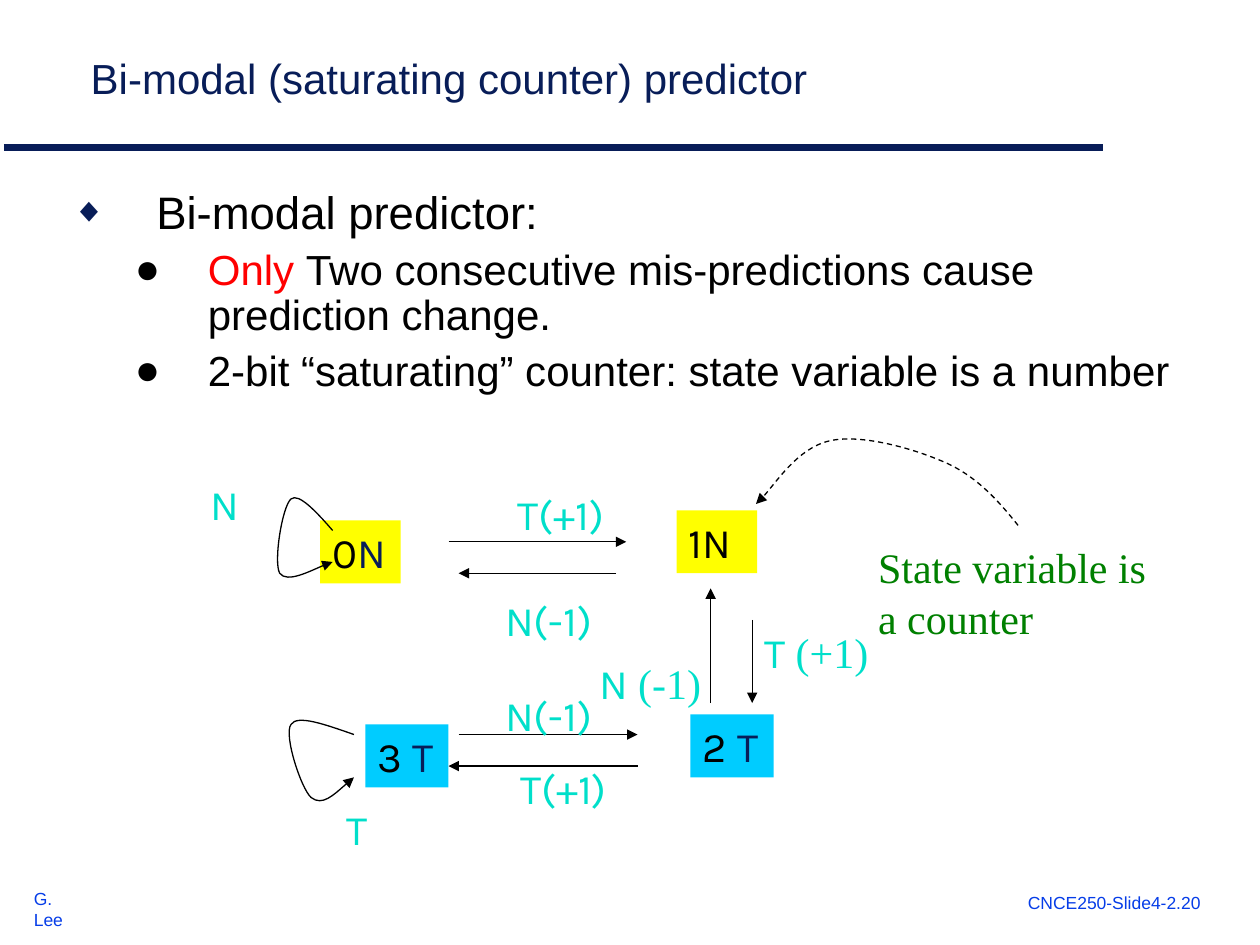
from pptx import Presentation
from pptx.dml.color import RGBColor
from pptx.enum.dml import MSO_LINE_DASH_STYLE as Dash
from pptx.enum.shapes import MSO_CONNECTOR as Conn, MSO_SHAPE as Shape
from pptx.enum.text import MSO_ANCHOR as Anchor, MSO_AUTO_SIZE as AutoSize, PP_ALIGN as Align
from pptx.oxml.ns import qn
from pptx.util import Inches, Pt
from lxml.etree import SubElement

NAVY, BLACK, RED, GREEN = "081D58", "000000", "FF0000", "008000"
TEAL, BLUE, YELLOW, CYAN = "00DFCA", "063DE8", "FFFF00", "00CCFF"
SANS, LABEL, SERIF = "Arial", "Karla", "Times New Roman"


def rgb(value):
    return RGBColor.from_string(value)


class Deck:
    """Slide builder holding the style and the current slide."""

    def __init__(self):
        self.prs = Presentation()
        self.prs.slide_width, self.prs.slide_height = Inches(10), Inches(7.5)
        self.s = self.prs.slides.add_slide(self.prs.slide_layouts[1])

    def place(self, sp, box):
        sp.left, sp.top, sp.width, sp.height = map(Inches, box)

    def add_runs(self, p, runs, size=24):
        for text, color, font in runs:
            r = p.add_run()
            r.text = text
            r.font.size, r.font.name = Pt(size), font
            r.font.color.rgb = rgb(color)

    def title(self, box, text):
        sp = self.s.shapes.title
        self.place(sp, box)
        tf = sp.text_frame
        tf.vertical_anchor, tf.auto_size = Anchor.BOTTOM, AutoSize.NONE
        tf.paragraphs[0].alignment = Align.LEFT
        self.add_runs(tf.paragraphs[0], [(text, NAVY, SANS)])

    def bullet(self, p, char, color, percent, margin, indent):
        pPr = p._p.get_or_add_pPr()
        pPr.set("marL", str(Inches(margin)))
        pPr.set("indent", str(Inches(-indent)))
        clr = SubElement(pPr, qn("a:buClr"))
        SubElement(clr, qn("a:srgbClr"), val=color)
        SubElement(pPr, qn("a:buSzPct"), val=str(percent * 1000))
        SubElement(pPr, qn("a:buFont"), typeface=SANS)
        SubElement(pPr, qn("a:buChar"), char=char)

    def body(self, box, heading, points):
        sp = self.s.placeholders[1]
        self.place(sp, box)
        tf = sp.text_frame
        tf.auto_size = AutoSize.NONE
        p = tf.paragraphs[0]
        self.bullet(p, "◆", NAVY, 75, 0.67, 0.67)
        p.space_before = Pt(0)
        self.add_runs(p, [(heading, BLACK, SANS)], 26)
        for runs in points:
            p = tf.add_paragraph()
            p.level = 1
            self.bullet(p, "●", BLACK, 100, 1.08, 0.58)
            p.space_before, p.line_spacing = Pt(6), 0.9
            self.add_runs(p, runs)

    def text(self, box, *lines, size=24):
        tf = self.s.shapes.add_textbox(*map(Inches, box)).text_frame
        tf.word_wrap = False
        for i, runs in enumerate(lines):
            p = tf.add_paragraph() if i else tf.paragraphs[0]
            self.add_runs(p, runs, size)

    def state(self, x, y, w, fill, runs):
        sp = self.s.shapes.add_shape(Shape.RECTANGLE, *map(Inches, (x, y, w, 0.5)))
        sp.shadow.inherit = False
        sp.fill.solid()
        sp.fill.fore_color.rgb = rgb(fill)
        sp.line.fill.background()
        tf = sp.text_frame
        tf.word_wrap, tf.vertical_anchor = False, Anchor.TOP
        tf.paragraphs[0].alignment = Align.LEFT
        self.add_runs(tf.paragraphs[0], runs)

    def stroke(self, sp, color=BLACK, width=0.75, arrow=True):
        sp.line.color.rgb, sp.line.width = rgb(color), Pt(width)
        if arrow:
            ln = sp._element.spPr.find(qn("a:ln"))
            SubElement(ln, qn("a:tailEnd"), type="triangle")

    def line(self, start, end, **style):
        cx = self.s.shapes.add_connector(Conn.STRAIGHT, *map(Inches, start + end))
        self.stroke(cx, **style)
        SubElement(cx._element.spPr, qn("a:effectLst"))

    def curve(self, points, dash=None):
        start, *rest = [(Inches(x), Inches(y)) for x, y in points]
        fb = self.s.shapes.build_freeform(*start)
        fb.add_line_segments(rest, close=False)
        sp = fb.convert_to_shape()
        segments = list(sp._element.iter(qn("a:lnTo")))
        outline = segments[0].getparent()
        for i in range(0, len(segments), 3):
            bezier = SubElement(outline, qn("a:cubicBezTo"))
            for seg in segments[i:i + 3]:
                bezier.append(seg[0])
                outline.remove(seg)
        sp.fill.background()
        sp.shadow.inherit = False
        if dash:
            sp.line.dash_style = dash
        self.stroke(sp)


def main():
    d = Deck()
    d.line((0.03, 1.17), (8.75, 1.17), color=NAVY, width=4, arrow=False)
    d.text((0.17, 7, 0.61, 0.26), [("G. Lee", BLUE, SANS)], size=10)
    d.text((8.06, 7.03, 2.04, 0.26), [("CNCE250-Slide4-2.20", BLUE, SANS)], size=10)
    d.title((0.62, 0.31, 7.72, 0.56), "Bi-modal (saturating counter) predictor")
    d.body((0.47, 1.41, 9.13, 4.5), "Bi-modal predictor:", [
        [("Only ", RED, SANS),
         ("Two consecutive mis-predictions cause prediction change.", BLACK, SANS)],
        [("2-bit “saturating” counter: state variable is a number", BLACK, SANS)],
    ])

    d.state(2.54, 4.13, 0.64, YELLOW, [("0", BLACK, LABEL), ("N", NAVY, LABEL)])
    d.state(5.37, 4.05, 0.64, YELLOW, [("1N", BLACK, LABEL)])
    d.state(5.48, 5.67, 0.66, CYAN, [("2 ", BLACK, LABEL), ("T", NAVY, LABEL)])
    d.state(2.9, 5.75, 0.66, CYAN, [("3 ", BLACK, LABEL), ("T", NAVY, LABEL)])

    for start, end in [
        ((3.56, 4.3), (4.97, 4.3)), ((4.89, 4.55), (3.64, 4.55)),
        ((5.97, 4.92), (5.97, 5.58)), ((5.64, 5.58), (5.64, 4.67)),
        ((3.64, 5.83), (5.06, 5.83)), ((5.06, 6.08), (3.56, 6.08)),
    ]:
        d.line(start, end)

    for x, y, w, label in [
        (1.57, 3.75, 0.45, "N"), (2.65, 6.33, 0.38, "T"),
        (4.01, 3.83, 0.96, "T(+1)"), (4.03, 6, 0.96, "T(+1)"),
        (3.91, 4.67, 0.95, "N(-1)"), (3.91, 5.42, 0.95, "N(-1)"),
    ]:
        d.text((x, y, w, 0.5), [(label, TEAL, LABEL)])
    for x, y, w, letter, step in [
        (5.97, 4.92, 1.05, "T ", "(+1)"), (4.66, 5.17, 1.04, "N ", "(-1)"),
    ]:
        d.text((x, y, w, 0.5), [(letter, TEAL, LABEL), (step, TEAL, SERIF)])
    d.text((6.87, 4.25, 2.41, 0.9),
           [("State variable is", GREEN, SERIF)], [("a counter", GREEN, SERIF)])

    d.curve([(2.64, 4.21), (2.51, 4.06), (2.37, 3.91), (2.31, 3.96),
             (2.24, 4.02), (2.17, 4.46), (2.22, 4.55),
             (2.28, 4.63), (2.57, 4.48), (2.64, 4.46)])
    d.curve([(2.81, 5.83), (2.58, 5.75), (2.36, 5.67), (2.31, 5.75),
             (2.25, 5.83), (2.39, 6.26), (2.47, 6.33),
             (2.56, 6.4), (2.68, 6.28), (2.81, 6.17)])
    d.curve([(8.08, 4.17), (7.92, 3.97), (7.75, 3.78), (7.5, 3.67),
             (7.25, 3.56), (6.83, 3.44), (6.58, 3.5),
             (6.33, 3.56), (6.1, 3.92), (6, 4)], dash=Dash.DASH)
    d.prs.save("out.pptx")


if __name__ == "__main__":
    main()
